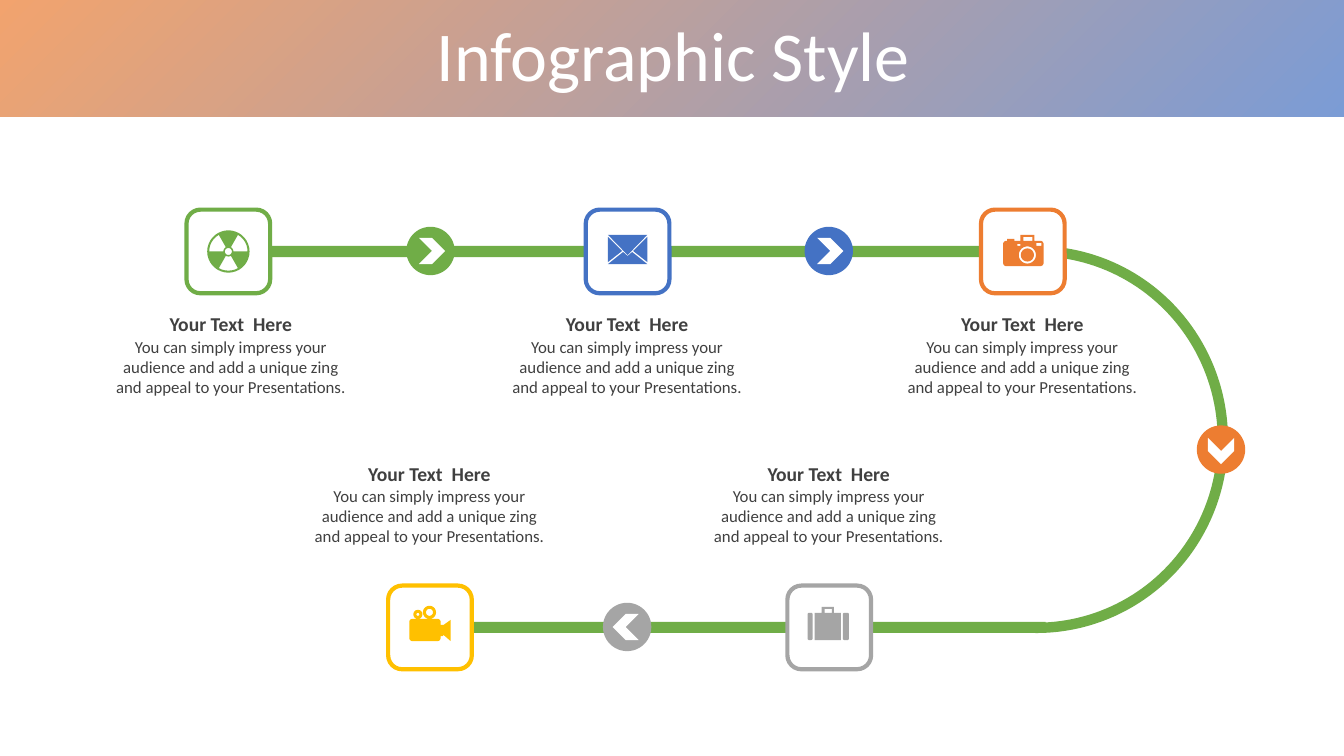
from dataclasses import dataclass
from math import cos, radians, sin

from lxml import etree
from pptx import Presentation
from pptx import util as u
from pptx.dml.color import RGBColor
from pptx.enum import shapes, text
from pptx.oxml.ns import qn


@dataclass(frozen=True)
class Theme:
    font: str = "Calibri"
    green: str = "70AD47"
    blue: str = "4472C4"
    orange: str = "ED7D31"
    yellow: str = "FFC000"
    gray: str = "A5A5A5"
    white: str = "FFFFFF"
    ink: str = "404040"
    title: int = 50
    heading: int = 14
    body: int = 12
    outline: int = 3


T = Theme()
MSO = shapes.MSO_SHAPE
HEADING = "Your Text  Here"
BODY = ("You can simply impress your audience and add a unique zing "
        "and appeal to your Presentations.")
TILE, BADGE, CHEVRON = 0.83, 0.48, 0.26
LABEL_WIDTH = 2.6
TOP_ROW, BOTTOM_ROW = 2.08, 5.81
TOP_LABEL, BOTTOM_LABEL = 3.05, 4.53


def arc(cx, cy, r, start, end):
    steps = max(4, int(abs(end - start) / 10))
    angles = [radians(start + (end - start) * i / steps) for i in range(steps + 1)]
    return [(cx + r * cos(a), cy + r * sin(a)) for a in angles]


def circle(cx, cy, r):
    return arc(cx, cy, r, 0, 360)


def sector(r_in, r_out, start):
    return arc(0, 0, r_out, start, start + 60) + arc(0, 0, r_in, start + 60, start)


def box(left, top, right, bottom, r=0):
    if not r:
        return [(left, top), (right, top), (right, bottom), (left, bottom)]
    return (arc(left + r, top + r, r, 180, 270) + arc(right - r, top + r, r, 270, 360)
            + arc(right - r, bottom - r, r, 0, 90) + arc(left + r, bottom - r, r, 90, 180))


def radiation_icon():
    return [circle(0, 0, 21), circle(0, 0, 3.5)] + [sector(5, 19, a) for a in (60, 180, 300)]


def mail_icon():
    side = [(19.5, -14.5), (19.5, 10.5), (5.5, -0.5)]
    return [
        [(-19.5, -16.5), (19.5, -16.5), (0, 3.5)],
        side,
        [(-x, y) for x, y in side],
        [(4.5, 0.5), (19.5, 12.5), (-19.5, 12.5), (-4.5, 0.5), (0, 4.5)],
    ]


def camera_icon():
    return [
        box(-19.5, -10.5, 20.5, 14.5, 3),
        box(-15.5, -12.5, -8.5, -10.5),
        box(-2.5, -16.5, 11.5, -10.5),
        box(0.5, -14.5, 9.5, -10.5),
        box(-5.5, -7.5, -2.5, -5.5),
        box(13.5, -8.5, 18.5, -5.5),
        circle(4.5, 3.5, 8.5),
        circle(4.5, 3.5, 6.5),
    ]


def video_icon():
    return [
        box(-20.5, -8.5, 10.5, 13.5, 3),
        circle(-0.5, -15, 6.5),
        circle(-0.5, -15, 3.5),
        circle(-12, -13, 4.5),
        circle(-12, -13, 1.5),
        [(10.5, -2.5), (13.5, -2.5), (20.5, -7.5), (20.5, 13.5), (13.5, 7.5),
         (12.5, 8.5), (10.5, 8.5)],
    ]


def suitcase_icon():
    return [
        box(-14.5, -14.5, 11.5, 12.5),
        box(-21.5, -14.5, -16.5, 12.5, 1.5),
        box(13.5, -14.5, 19.5, 12.5, 1.5),
        box(-7.5, -20.5, 4.5, -14.5),
        box(-4.5, -18.5, 2.5, -14.5),
    ]


def paint(sp, fill, line=None):
    sp.shadow.inherit = False
    sp.fill.solid()
    sp.fill.fore_color.rgb = RGBColor.from_string(fill)
    if line:
        sp.line.color.rgb = RGBColor.from_string(line)
        sp.line.width = u.Pt(T.outline)
    else:
        sp.line.fill.background()


def add_shape(s, kind, left, top, width, height, fill, line=None, rotation=0):
    sp = s.shapes.add_shape(kind, u.Inches(left), u.Inches(top),
                            u.Inches(width), u.Inches(height))
    paint(sp, fill, line)
    sp.rotation = rotation
    return sp


def add_text(s, left, top, width, height, content, size, color, bold=False):
    tb = s.shapes.add_textbox(u.Inches(left), u.Inches(top), u.Inches(width), u.Inches(height))
    tf = tb.text_frame
    tf.word_wrap = True
    p = tf.paragraphs[0]
    p.alignment = text.PP_ALIGN.CENTER
    r = p.add_run()
    r.text = content
    r.font.name = T.font
    r.font.size = u.Pt(size)
    r.font.bold = bold
    r.font.color.rgb = RGBColor.from_string(color)
    return tf


def add_banner(s):
    sp = add_shape(s, MSO.RECTANGLE, 0, 0, 13.33, 1.16, T.white)
    sp.fill.gradient()
    sp.fill.gradient_angle = 135
    for stop, color in zip(sp.fill.gradient_stops, (T.blue, T.orange)):
        stop.color.rgb = RGBColor.from_string(color)
    for color in sp._element.spPr.find(qn("a:gradFill")).iter(qn("a:srgbClr")):
        etree.SubElement(color, qn("a:alpha")).set("val", "70000")
    tf = add_text(s, 0.35, 0.21, 12.66, 0.79, "Infographic Style", T.title, T.white)
    tf.vertical_anchor = text.MSO_ANCHOR.MIDDLE
    tf.paragraphs[0].line_spacing = 0.8


def add_track(s):
    bend = add_shape(s, MSO.BLOCK_ARC, 8.38, 2.44, 3.8, 3.84, T.green)
    for i, value in enumerate((161.274, 54.934, 0.027)):
        bend.adjustments[i] = value
    add_shape(s, MSO.RECTANGLE, 2.15, 2.44, 8.23, 0.11, T.green)
    add_shape(s, MSO.RECTANGLE, 4.25, 6.17, 6.12, 0.11, T.green)


def add_icon(s, cx, cy, contours, color):
    points = [[(1000 * cx + 10 * x, 1000 * cy + 10 * y) for x, y in c] for c in contours]
    fb = s.shapes.build_freeform(*points[0][0], scale=u.Inches(1) / 1000)
    for i, contour in enumerate(points):
        if i:
            fb.move_to(*contour[0])
        fb.add_line_segments(contour[1:], close=True)
    paint(fb.convert_to_shape(), color)


def add_badge(s, left, top, color, rotation):
    add_shape(s, MSO.OVAL, left, top, BADGE, BADGE, color)
    inset, nudge = (BADGE - CHEVRON) / 2, 0.015
    add_shape(s, MSO.CHEVRON, left + inset + nudge * cos(radians(rotation)),
              top + inset + nudge * sin(radians(rotation)),
              CHEVRON, CHEVRON, T.white, rotation=rotation)


def add_step(s, left, top, label_left, label_top, color, contours):
    add_shape(s, MSO.ROUNDED_RECTANGLE, left, top, TILE, TILE, T.white, color)
    add_icon(s, left + TILE / 2, top + TILE / 2, contours, color)
    add_text(s, label_left, label_top + 0.24, LABEL_WIDTH, 0.91, BODY, T.body, T.ink)
    add_text(s, label_left, label_top, LABEL_WIDTH, 0.34, HEADING, T.heading, T.ink, True)


def main():
    prs = Presentation()
    prs.slide_width, prs.slide_height = u.Inches(13.33), u.Inches(7.5)
    s = prs.slides.add_slide(prs.slide_layouts[6])
    add_banner(s)
    add_track(s)
    for step in (
        (1.85, TOP_ROW, 0.99, TOP_LABEL, T.green, radiation_icon()),
        (5.81, TOP_ROW, 4.92, TOP_LABEL, T.blue, mail_icon()),
        (9.73, TOP_ROW, 8.84, TOP_LABEL, T.orange, camera_icon()),
        (3.85, BOTTOM_ROW, 2.96, BOTTOM_LABEL, T.yellow, video_icon()),
        (7.81, BOTTOM_ROW, 6.92, BOTTOM_LABEL, T.gray, suitcase_icon()),
    ):
        add_step(s, *step)
    for badge in (
        (4.03, 2.25, T.green, 0),
        (7.98, 2.25, T.blue, 0),
        (5.98, 5.98, T.gray, 180),
        (11.87, 4.22, T.orange, 90),
    ):
        add_badge(s, *badge)
    prs.save("out.pptx")


if __name__ == "__main__":
    main()
